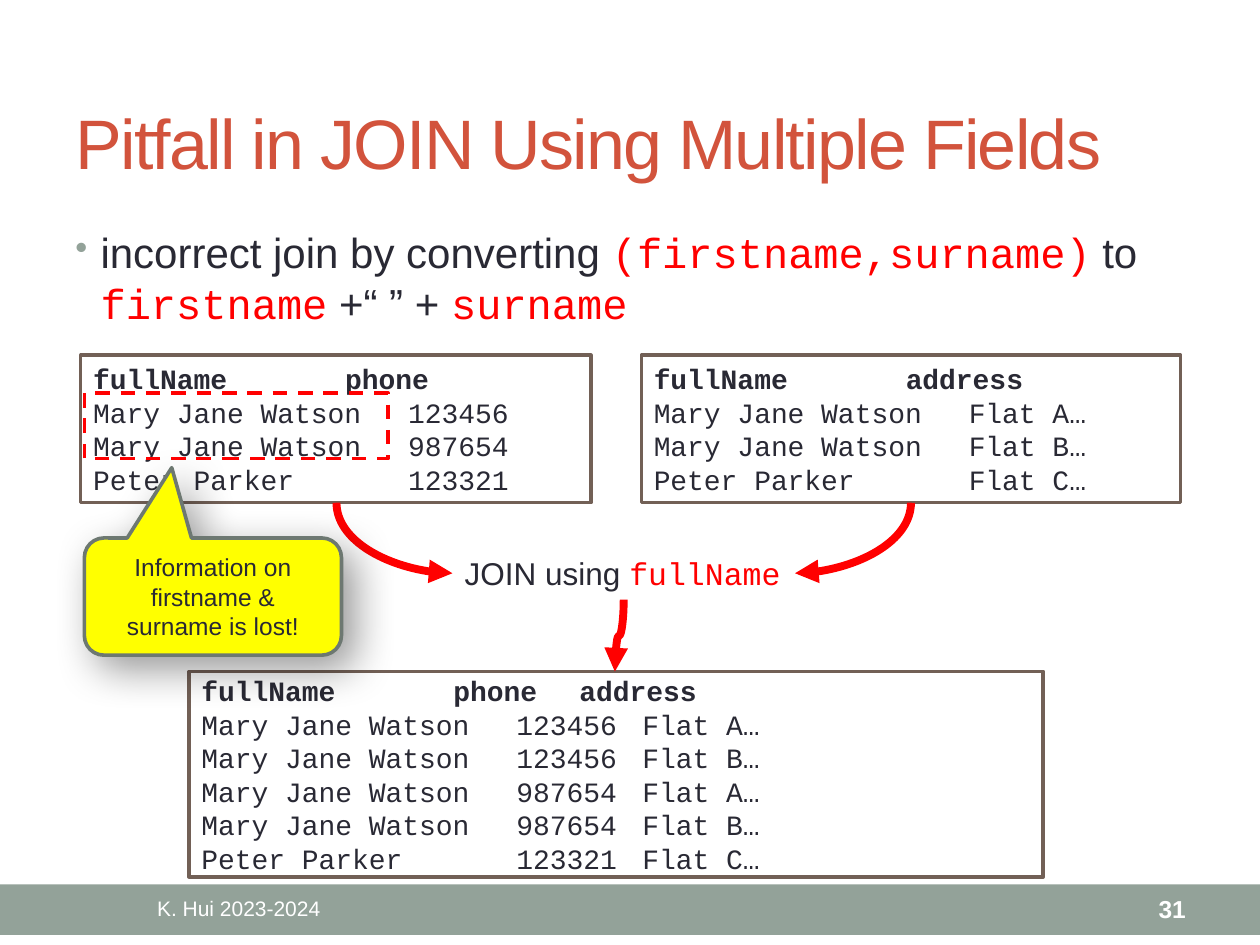
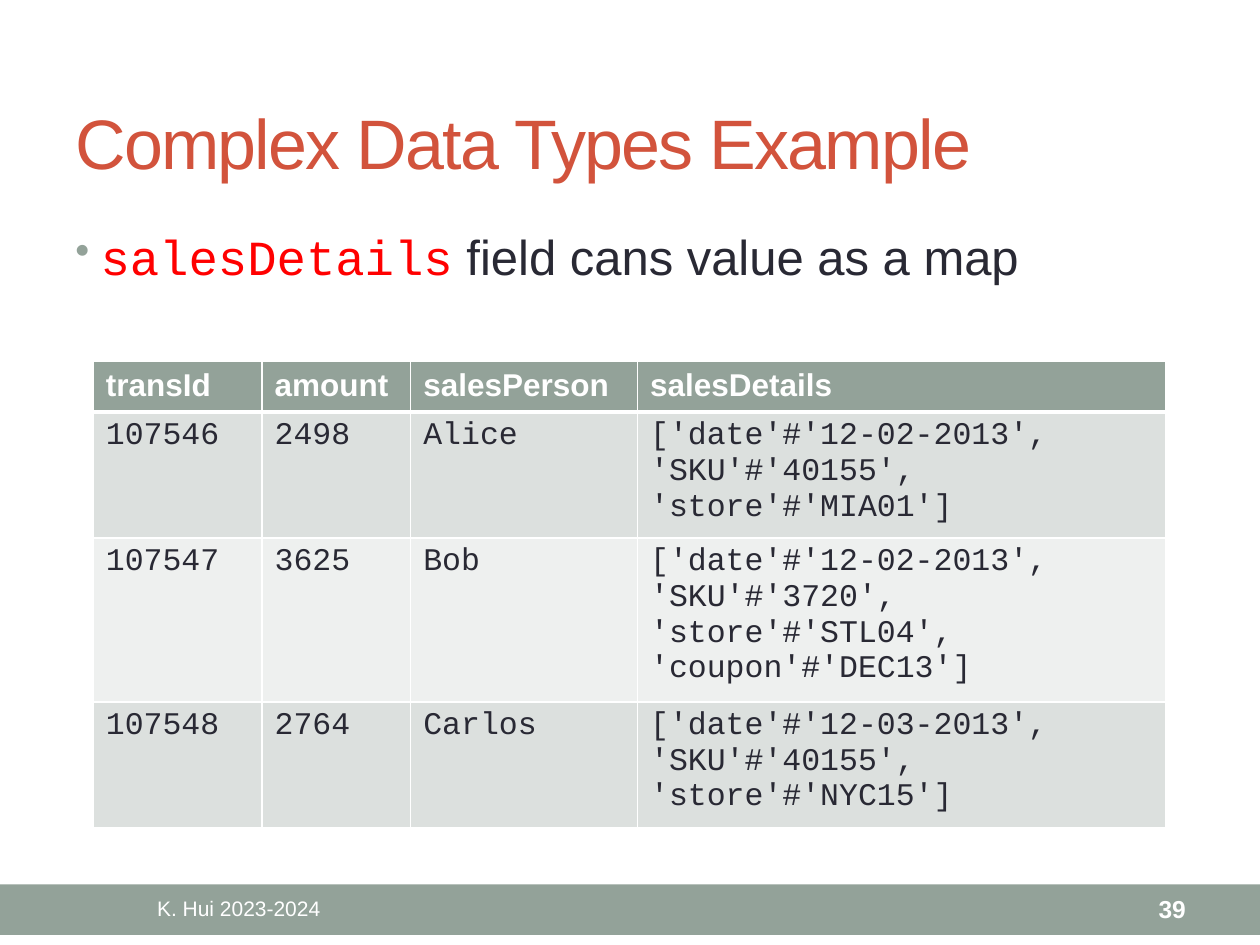
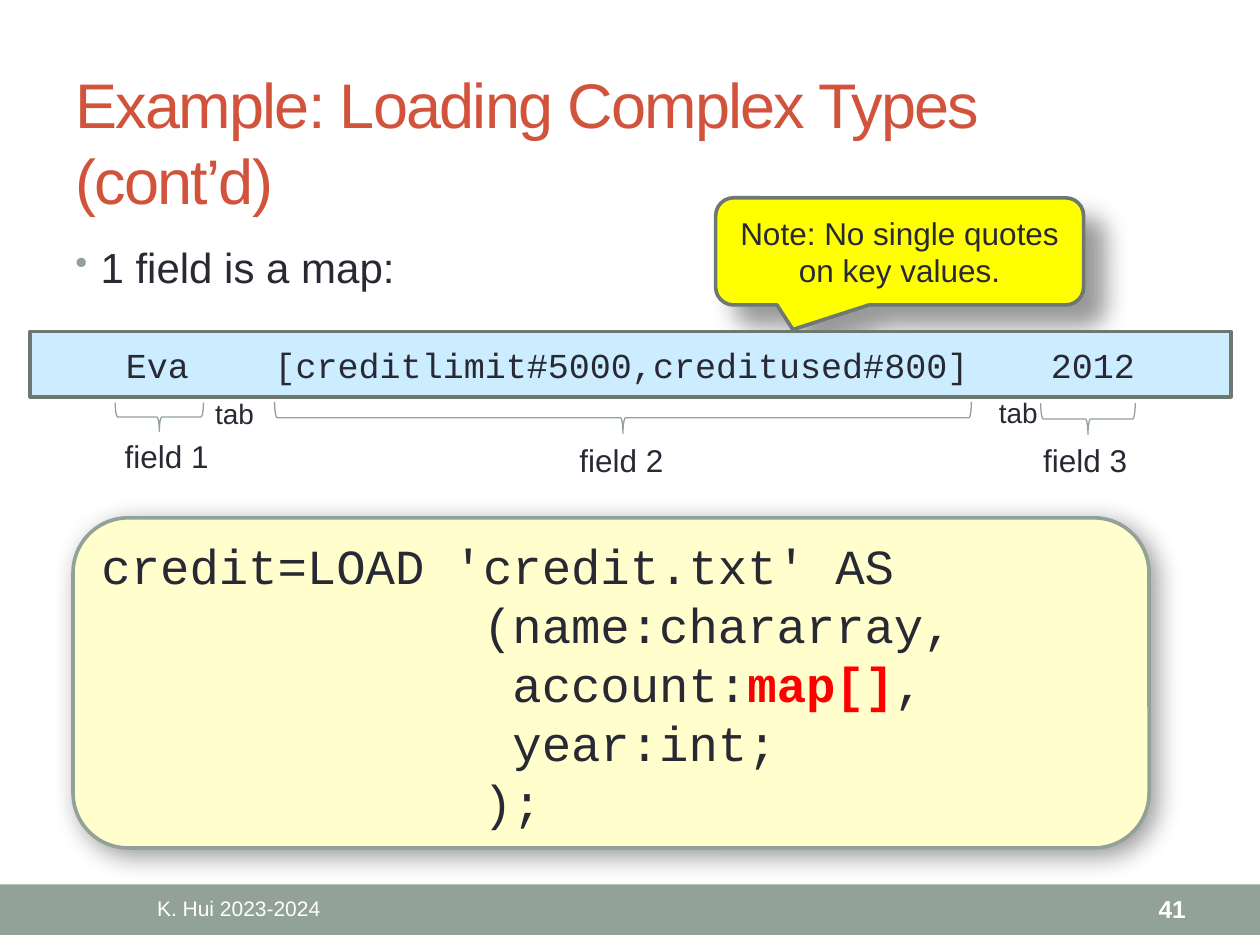
"""Build three lecture slides on joins and complex data types."""
from dataclasses import dataclass

from lxml import etree
from pptx import Presentation
from pptx import util as u
from pptx.dml.color import RGBColor
from pptx.enum import dml, shapes, text
from pptx.oxml.ns import qn


@dataclass(frozen=True)
class Theme:
    sans: str = "Arial"
    mono: str = "Courier New"
    ink: str = "292934"
    white: str = "FFFFFF"
    title: str = "D2533C"
    sage: str = "93A299"
    slate: str = "6D7871"
    brown: str = "726056"
    red: str = "FF0000"
    yellow: str = "FFFF00"
    cream: str = "FFFECC"
    sky: str = "CCECFF"
    bands: tuple = ("DCE0DE", "EEF0EF")
    title_size: int = 40
    long_title_size: int = 36
    large: int = 28
    body: int = 24
    record: int = 20
    label: int = 18
    small: int = 16
    number: int = 14
    footer: int = 12
    outline: float = 2.08


theme = Theme()
preset = shapes.MSO_SHAPE
align = text.PP_ALIGN
anchor = text.MSO_ANCHOR


def place(slide, kind, at, fill=None, line=None, width=theme.outline, shadow=None):
    """Add a preset shape, or a text box when kind is None."""
    box = [u.Inches(value) for value in at]
    if kind is None:
        return slide.shapes.add_textbox(*box)
    shape = slide.shapes.add_shape(kind, *box)
    shape.shadow.inherit = False
    if fill:
        shape.fill.solid()
        shape.fill.fore_color.rgb = RGBColor.from_string(fill)
    else:
        shape.fill.background()
    if line:
        shape.line.color.rgb = RGBColor.from_string(line)
        shape.line.width = u.Pt(width)
    else:
        shape.line.fill.background()
    if shadow:
        blur, distance = shadow
        effects = shape._element.spPr.find(qn("a:effectLst"))
        outer = etree.SubElement(effects, qn("a:outerShdw"), blurRad=str(u.Pt(blur)),
                                 dist=str(u.Pt(distance)), dir="2700000", rotWithShape="0")
        color = etree.SubElement(outer, qn("a:srgbClr"), val="000000")
        etree.SubElement(color, qn("a:alpha"), val="40000")
    return shape


def write(shape, content, size, font=theme.sans, color=theme.ink, bold=False,
          alignment=align.LEFT, vertical=anchor.TOP, wrap=True, bullet=False):
    """Fill a shape or cell with lines; parts between backticks are red code."""
    frame = shape.text_frame
    frame.text = content.replace("`", "")
    frame.word_wrap = wrap
    frame.vertical_anchor = vertical
    if not wrap:
        frame.auto_size = text.MSO_AUTO_SIZE.SHAPE_TO_FIT_TEXT
    for paragraph, line in zip(frame.paragraphs, content.split("\n")):
        paragraph.alignment = alignment
        if bullet:
            properties = paragraph._p.get_or_add_pPr()
            properties.set("marL", str(u.Inches(0.2)))
            properties.set("indent", str(u.Inches(-0.2)))
            bullet_color = etree.SubElement(properties, qn("a:buClr"))
            etree.SubElement(bullet_color, qn("a:srgbClr"), val=theme.sage)
            etree.SubElement(properties, qn("a:buSzPct"), val="85000")
            etree.SubElement(properties, qn("a:buChar"), char="•")
        if "`" in line:
            paragraph.clear()
        for index, part in enumerate(line.split("`")):
            if not part:
                continue
            marked = index % 2 == 1
            run = paragraph.add_run() if "`" in line else paragraph.runs[0]
            run.text = part
            run.font.size = u.Pt(size)
            run.font.name = theme.mono if marked else font
            run.font.color.rgb = RGBColor.from_string(theme.red if marked else color)
            run.font.bold = bold
    return frame


presentation = Presentation()
presentation.slide_width = u.Inches(10)
presentation.slide_height = u.Inches(7.5)

slides = []
for title, title_size, number in (
    ("Pitfall in JOIN Using Multiple Fields", theme.title_size, "31"),
    ("Complex Data Types Example", theme.title_size, "39"),
    ("Example: Loading Complex Types (cont’d)", theme.long_title_size, "41"),
):
    slide = presentation.slides.add_slide(presentation.slide_layouts[6])
    place(slide, preset.RECTANGLE, (0, 7.02, 10, 0.4), theme.sage)
    frame = write(place(slide, None, (0.5, 0.58, 9, 1.08)), title, title_size,
                  color=theme.title, vertical=anchor.MIDDLE)
    frame.paragraphs[0].runs[0]._r.get_or_add_rPr().set("spc", "-100")
    write(place(slide, None, (0.5, 7.03, 2.79, 0.36)), "K. Hui 2023-2024", theme.footer,
          color=theme.white, alignment=align.CENTER, vertical=anchor.MIDDLE)
    write(place(slide, None, (8.34, 7.03, 1.17, 0.36)), number, theme.number,
          color=theme.white, bold=True, alignment=align.RIGHT, vertical=anchor.MIDDLE)
    slides.append(slide)
join_slide, map_slide, load_slide = slides

for slide, at, content, size in (
    (join_slide, (0.5, 1.75, 9, 0.95),
     "incorrect join by converting `(firstname,surname)` to `firstname` +“ ” + `surname`",
     theme.body),
    (map_slide, (0.5, 1.75, 9, 1.11), "`salesDetails` field cans value as a map", theme.large),
    (load_slide, (0.5, 1.87, 9, 0.74), "1 field is a map:", theme.body),
):
    write(place(slide, None, at), content, size, bullet=True)

for at, records in (
    ((1.5, 5.33, 6.78, 1.63), (
        "fullName\t\tphone\taddress",
        "Mary Jane Watson\t123456\tFlat A…",
        "Mary Jane Watson\t123456\tFlat B…",
        "Mary Jane Watson\t987654\tFlat A…",
        "Mary Jane Watson\t987654\tFlat B…",
        "Peter Parker\t\t123321\tFlat C…")),
    ((0.64, 2.82, 4.05, 1.17), (
        "fullName\t\tphone",
        "Mary Jane Watson\t123456",
        "Mary Jane Watson\t987654",
        "Peter Parker\t\t123321")),
    ((5.09, 2.82, 4.28, 1.17), (
        "fullName\t\taddress",
        "Mary Jane Watson\tFlat A…",
        "Mary Jane Watson\tFlat B…",
        "Peter Parker\t\tFlat C…")),
):
    relation = place(join_slide, preset.RECTANGLE, at, theme.white, theme.brown)
    frame = write(relation, "\n".join(records), theme.small, theme.mono,
                  vertical=anchor.MIDDLE)
    for run in frame.paragraphs[0].runs:
        run.font.bold = True

write(place(join_slide, None, (3.59, 4.35, 2.73, 0.4)), "JOIN using `fullName`",
      theme.label, wrap=False)

for begin_x, begin_y, end_x, end_y, degrees, curve in (
    (6.49, 3.81, 7.05, 4.73, 90, "curvedConnector2"),
    (3.41, 3.81, 2.85, 4.73, 270, "curvedConnector2"),
    (4.63, 5.01, 5.2, 5.08, 90, "curvedConnector3"),
):
    arrow = join_slide.shapes.add_connector(
        shapes.MSO_CONNECTOR.CURVE, u.Inches(begin_x), u.Inches(begin_y),
        u.Inches(end_x), u.Inches(end_y))
    arrow.line.color.rgb = RGBColor.from_string(theme.red)
    arrow.line.width = u.Pt(4.5)
    properties = arrow._element.spPr
    properties.find(qn("a:xfrm")).set("rot", str(degrees * 60000))
    properties.find(qn("a:prstGeom")).set("prst", curve)
    etree.SubElement(properties.find(qn("a:ln")), qn("a:tailEnd"), type="triangle")
    etree.SubElement(properties, qn("a:effectLst"))

for slide, at, tip, shadow, content, size in (
    (join_slide, (0.67, 4.27, 2.04, 0.93), (-0.16, -1.1), (24, 10),
     "Information on firstname & surname is lost!", theme.number),
    (load_slide, (5.68, 1.57, 2.92, 0.85), (-0.29, 0.73), (14, 16),
     "Note: No single quotes on key values.", theme.label),
):
    callout = place(slide, preset.ROUNDED_RECTANGULAR_CALLOUT, at, theme.yellow,
                    theme.slate, shadow=shadow)
    callout.adjustments[0], callout.adjustments[1] = tip
    write(callout, content, size, alignment=align.CENTER, vertical=anchor.MIDDLE)

lost_names = place(join_slide, preset.RECTANGLE, (0.67, 3.12, 2.41, 0.52), line=theme.red)
lost_names.line.dash_style = dml.MSO_LINE.DASH

sales = (
    ("transId", "amount", "salesPerson", "salesDetails"),
    ("107546", "2498", "Alice", "['date'#'12-02-2013',\n'SKU'#'40155',\n'store'#'MIA01']"),
    ("107547", "3625", "Bob",
     "['date'#'12-02-2013',\n'SKU'#'3720',\n'store'#'STL04',\n'coupon'#'DEC13']"),
    ("107548", "2764", "Carlos", "['date'#'12-03-2013',\n'SKU'#'40155',\n'store'#'NYC15']"),
)
table = map_slide.shapes.add_table(4, 4, u.Inches(0.74), u.Inches(2.87),
                                   u.Inches(8.51), u.Inches(3.51)).table
for column, width in zip(table.columns, (1.34, 1.18, 1.8, 4.19)):
    column.width = u.Inches(width)
for row, height in zip(table.rows, (0.37, 0.95, 1.24, 0.95)):
    row.height = u.Inches(height)
for row_index, record in enumerate(sales):
    header = row_index == 0
    for column_index, value in enumerate(record):
        cell = table.cell(row_index, column_index)
        write(cell, value, theme.label, theme.sans if header else theme.mono,
              theme.white if header else theme.ink, header)
        properties = cell._tc.get_or_add_tcPr()
        for side in ("L", "R", "T", "B"):
            thick = (row_index, side) in ((0, "B"), (1, "T"))
            border = etree.SubElement(properties, qn(f"a:ln{side}"),
                                      w=str(u.Pt(3 if thick else 1)))
            border_fill = etree.SubElement(border, qn("a:solidFill"))
            etree.SubElement(border_fill, qn("a:srgbClr"), val=theme.white)
        cell.fill.solid()
        cell.fill.fore_color.rgb = RGBColor.from_string(
            theme.sage if header else theme.bands[(row_index - 1) % 2])

record_bar = place(load_slide, preset.RECTANGLE, (0.24, 2.63, 9.53, 0.52),
                   theme.sky, theme.slate)
frame = write(record_bar, "Eva\t[creditlimit#5000,creditused#800]\t2012", theme.record,
              theme.mono, vertical=anchor.MIDDLE)
frame.margin_left = u.Inches(0.76)
tab_list = etree.SubElement(frame.paragraphs[0]._p.get_or_add_pPr(), qn("a:tabLst"))
for stop in (1.18, 7.34):
    etree.SubElement(tab_list, qn("a:tab"), pos=str(u.Inches(stop)), algn="l")

for left, top in ((7.83, 3.09), (1.61, 3.1)):
    write(place(load_slide, None, (left, top, 0.51, 0.37)), "tab", theme.small, wrap=False)

for name, brace_at, label_left, label_top in (
    ("field 1", (1.15, 2.96, 0.23, 0.7), 0.89, 3.42),
    ("field 2", (4.82, 0.55, 0.25, 5.53), 4.5, 3.45),
    ("field 3", (8.51, 2.95, 0.25, 0.75), 8.18, 3.45),
):
    brace = place(load_slide, preset.LEFT_BRACE, brace_at, line=theme.sage, width=0.75)
    brace.rotation = 270
    write(place(load_slide, None, (label_left, label_top, 0.88, 0.4)), name,
          theme.label, wrap=False)

code_lines = (
    "credit=LOAD 'credit.txt' AS",
    "             (name:chararray,",
    "              account:`map[]`,",
    "              year:int;",
    "             );",
)
code_box = place(load_slide, preset.ROUNDED_RECTANGLE, (0.58, 4.11, 8.54, 2.62),
                 theme.cream, theme.sage, shadow=(15, 5))
frame = write(code_box, "\n".join(code_lines), theme.large, theme.mono,
              vertical=anchor.MIDDLE)
frame.paragraphs[2].runs[1].font.bold = True

presentation.save("out.pptx")
